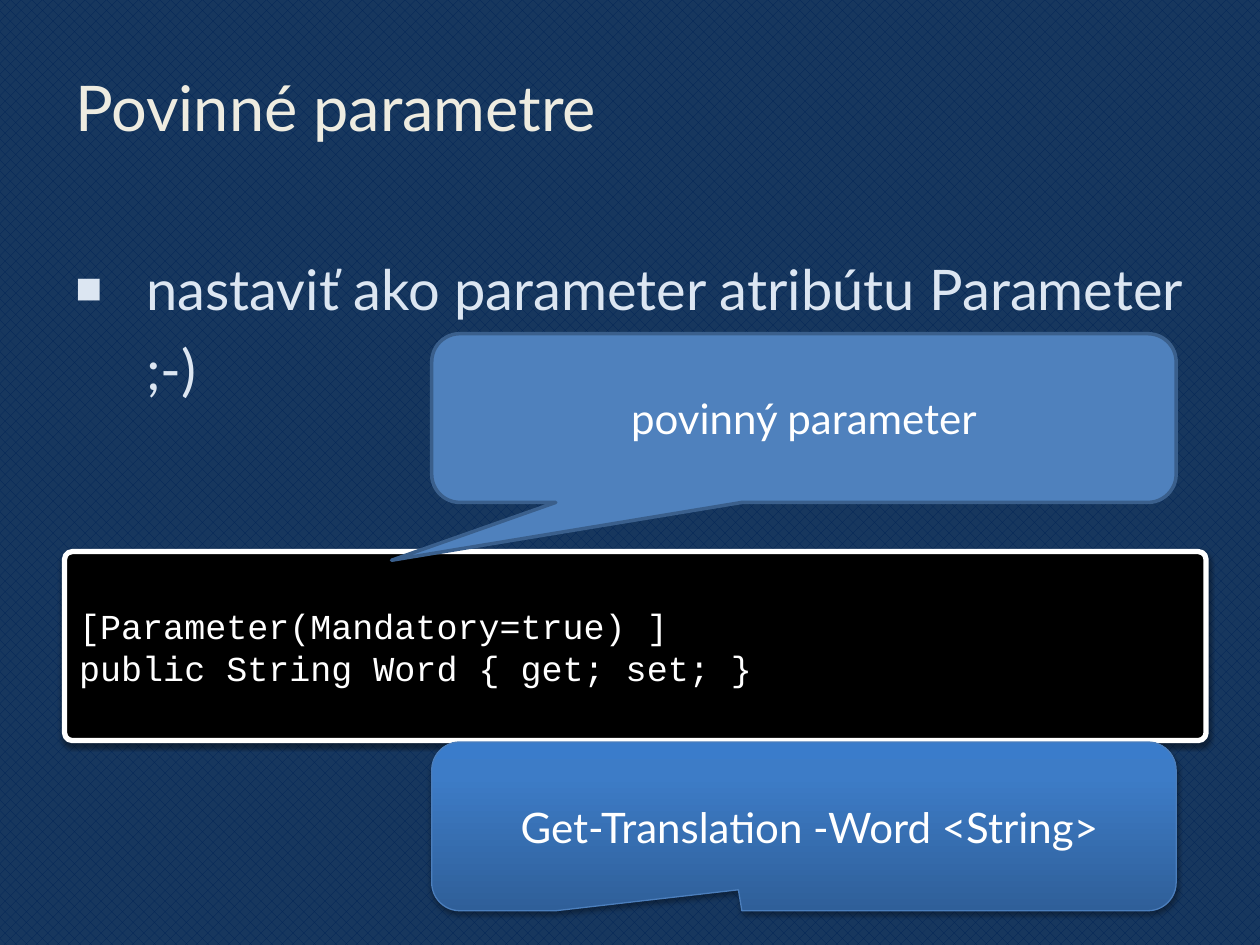
from lxml.etree import SubElement
from pptx import Presentation
from pptx.dml.color import RGBColor
from pptx.enum.dml import MSO_PATTERN as Pattern
from pptx.enum.shapes import MSO_SHAPE as Shape
from pptx.enum.text import MSO_ANCHOR as Anchor, PP_ALIGN as Align
from pptx.oxml.ns import qn
from pptx.util import Pt

SANS, MONO = "Lato", "Courier New"
WHITE, PALE_BLUE, CREAM = "FFFFFF", "DCE6F2", "EEECE1"
GRADIENT = [(0, "2F5F99"), (80, "3D7CC7"), (100, "3A7CCB")]


def color(value):
    return RGBColor.from_string(value)


def add_element(parent, tag, **attributes):
    return SubElement(parent, qn(tag), {k: str(v) for k, v in attributes.items()})


def write(shape, text, size, font=SANS, fill=WHITE, align=Align.LEFT,
          anchor=Anchor.MIDDLE, bullet=None, indent=0, line_spacing=None):
    frame = shape.text_frame
    frame.word_wrap = True
    frame.vertical_anchor = anchor
    for index, line in enumerate(text.split("\n")):
        paragraph = frame.paragraphs[0] if index == 0 else frame.add_paragraph()
        paragraph.alignment = align
        if line_spacing:
            paragraph.line_spacing = line_spacing
        if bullet:
            properties = paragraph._p.get_or_add_pPr()
            properties.set("marL", str(Pt(indent)))
            properties.set("indent", str(-Pt(indent)))
            bullet_color = add_element(properties, "a:buClr")
            add_element(bullet_color, "a:srgbClr", val=fill)
            add_element(properties, "a:buSzPct", val=80000)
            add_element(properties, "a:buFont", typeface="Arial")
            add_element(properties, "a:buChar", char=bullet)
        run = paragraph.add_run()
        run.text = line
        run.font.name = font
        run.font.size = Pt(size)
        run.font.color.rgb = color(fill)


def add_box(slide, kind, box, adjustments, line, line_width, fill=None):
    shape = slide.shapes.add_shape(kind, *map(Pt, box))
    for index, value in enumerate(adjustments):
        shape.adjustments[index] = value
    if fill:
        shape.fill.solid()
        shape.fill.fore_color.rgb = color(fill)
    shape.line.color.rgb = color(line)
    shape.line.width = Pt(line_width)
    shape.shadow.inherit = False
    return shape


def add_shadow(shape, opacity, distance):
    effects = shape._element.spPr.find(qn("a:effectLst"))
    shadow = add_element(effects, "a:outerShdw", blurRad=Pt(3.1), dist=Pt(distance),
                         dir=90 * 60000, rotWithShape=0)
    shade = add_element(shadow, "a:srgbClr", val="000000")
    add_element(shade, "a:alpha", val=opacity * 1000)


def fill_gradient(shape, stops):
    shape.fill.gradient()
    gradient = shape._element.spPr.find(qn("a:gradFill"))
    for child in list(gradient):
        gradient.remove(child)
    stop_list = add_element(gradient, "a:gsLst")
    for position, value in stops:
        stop = add_element(stop_list, "a:gs", pos=position * 1000)
        add_element(stop, "a:srgbClr", val=value)
    add_element(gradient, "a:lin", ang=270 * 60000, scaled=0)


def add_title(slide, box, text):
    write(slide.shapes.add_textbox(*map(Pt, box)), text, 36, fill=CREAM)


def add_body(slide, box, text):
    write(slide.shapes.add_textbox(*map(Pt, box)), text, 32, fill=PALE_BLUE,
          anchor=Anchor.TOP, bullet="■", indent=40.5, line_spacing=1.2)


def add_code(slide, box, text):
    panel = add_box(slide, Shape.ROUNDED_RECTANGLE, box, [0.041], WHITE, 3, "000000")
    add_shadow(panel, 38, 1.6)
    write(panel, text, 20, font=MONO)


def add_callout(slide, box, text, tip, line, line_width, fill=None):
    callout = add_box(slide, Shape.ROUNDED_RECTANGULAR_CALLOUT, box, [*tip, 0.167],
                      line, line_width, fill)
    write(callout, text, 24, align=Align.CENTER)
    return callout


def build_slide(presentation):
    slide = presentation.slides.add_slide(presentation.slide_layouts[6])

    # Woven background
    background = slide.background.fill
    background.patterned()
    background.pattern = Pattern.from_xml("pct40")
    background.fore_color.rgb = color("012456")
    background.back_color.rgb = color("17375E")

    # Title and bullet
    add_title(slide, (36, 21.6, 648, 78.5), "Povinné parametre")
    add_body(slide, (36, 134, 648, 348.5), "nastaviť ako parameter atribútu Parameter ;-)")

    # Code panel
    add_code(slide, (36.9, 315.2, 652.3, 108),
             "[Parameter(Mandatory=true) ]\npublic String Word { get; set; }")

    # Callouts above and below the code
    left, width, height = 246.7, 425.4, 96.4
    add_callout(slide, (left, 190.7, width, height), "povinný parameter",
                (-0.554, 0.843), "3A5F8C", 2, "4F81BD")
    usage = add_callout(slide, (left, 424, width, height),
                        " Get-Translation -Word <String>",
                        (-0.088, 0.376), "4B7EBC", 0.75)
    fill_gradient(usage, GRADIENT)
    add_shadow(usage, 35, 1.8)


def main():
    presentation = Presentation()
    presentation.slide_width, presentation.slide_height = Pt(720), Pt(540)
    build_slide(presentation)
    presentation.save("out.pptx")


if __name__ == "__main__":
    main()
